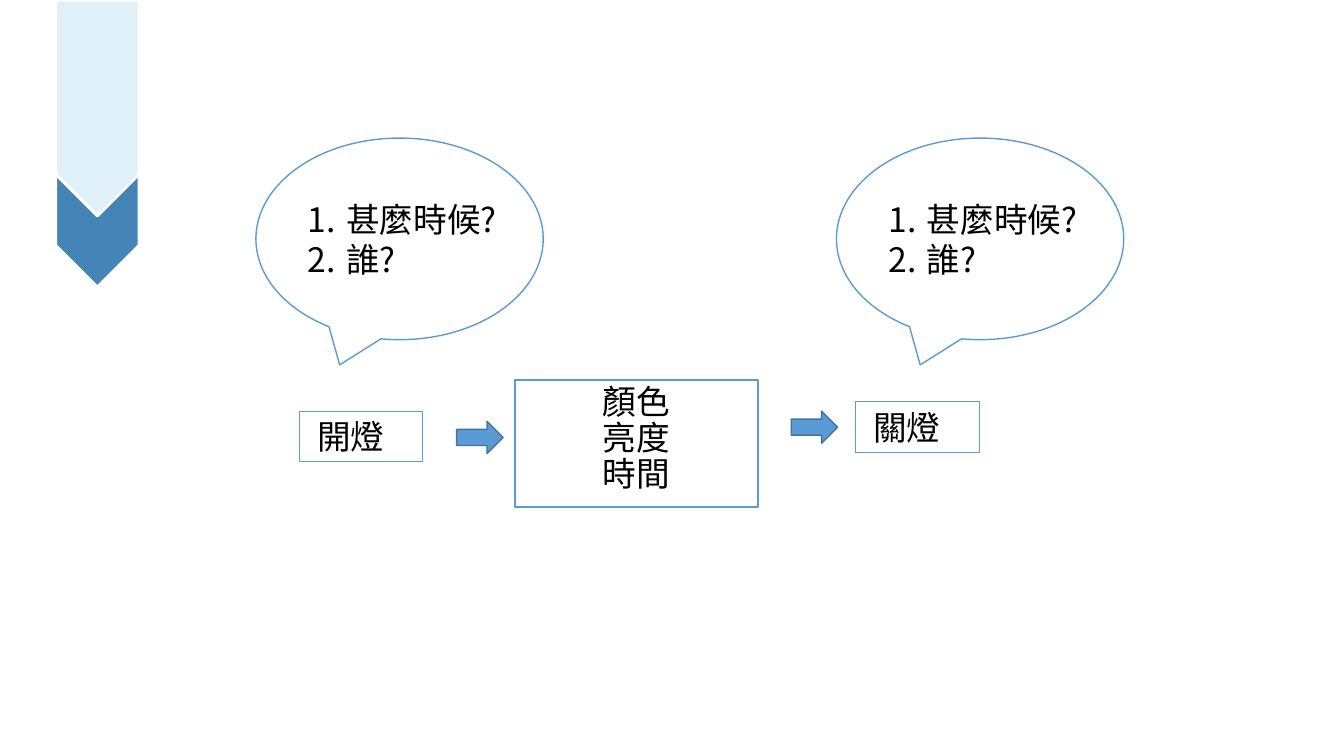
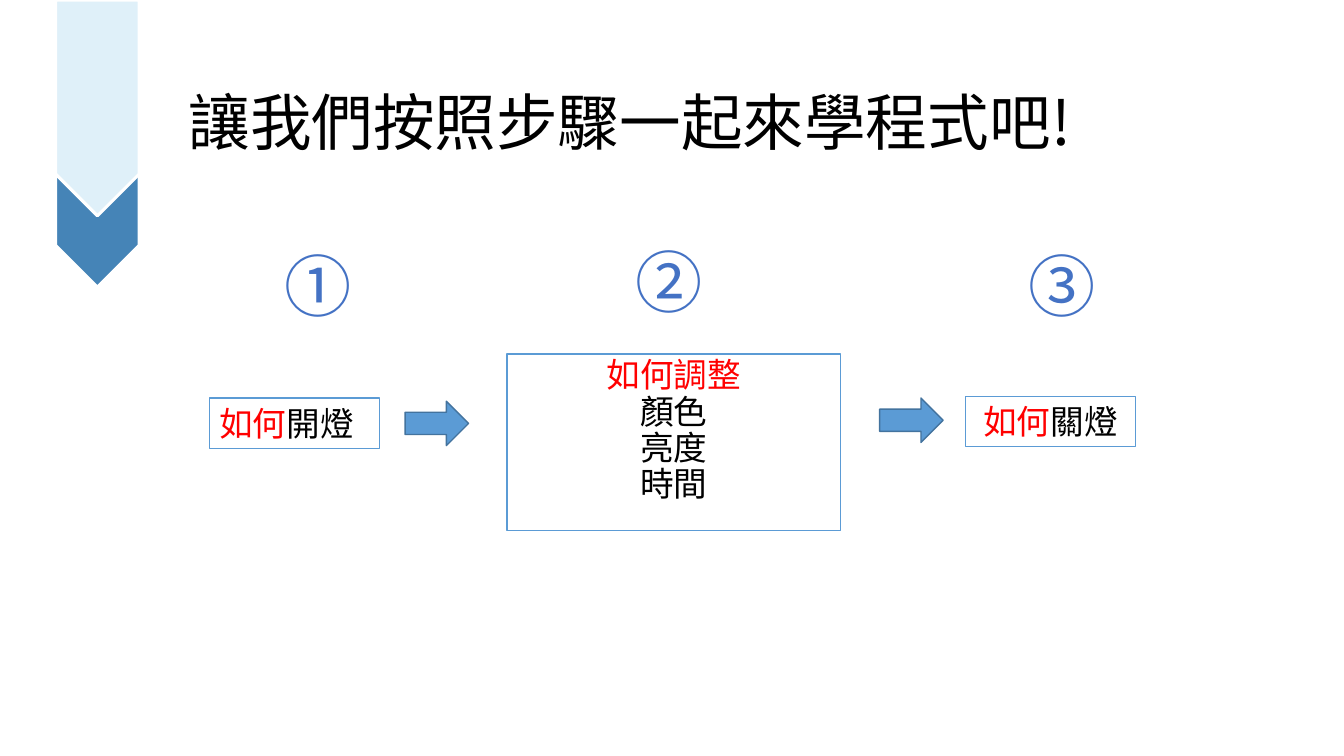
import collections

import lxml.etree
import pptx
import pptx.dml.color
import pptx.enum.shapes
import pptx.enum.text
import pptx.oxml.ns
import pptx.util

Cm = pptx.util.Cm
Pt = pptx.util.Pt
SHAPE = pptx.enum.shapes.MSO_SHAPE
ALIGN = pptx.enum.text.PP_ALIGN
ANCHOR = pptx.enum.text.MSO_ANCHOR
qn = pptx.oxml.ns.qn

FONT = "Noto Sans CJK JP"
BLACK, WHITE, RED = "000000", "FFFFFF", "FF0000"
BLUE, DARK_BLUE, NUMBER_BLUE = "5B9BD5", "43739E", "4472C4"
RIBBON_DARK, RIBBON_LIGHT = "4584B7", "DFF0F9"
STEP_HEIGHT = 1.27

# All boxes are in centimetres.
Box = collections.namedtuple("Box", "left top width height")


def within(box, left, top, width, height):
    """Turn an offset from a box's corner into a box on the slide."""
    return Box(box.left + left, box.top + top, width, height)


def rgb(value):
    return pptx.dml.color.RGBColor.from_string(value)


def lengths(box):
    return [Cm(value) for value in box]


def add_shape(slide, kind, box, fill, line, line_width):
    shape = slide.shapes.add_shape(kind, *lengths(box))
    shape.shadow.inherit = False
    if fill:
        shape.fill.solid()
        shape.fill.fore_color.rgb = rgb(fill)
    else:
        shape.fill.background()
    shape.line.color.rgb = rgb(line)
    shape.line.width = Pt(line_width)
    return shape


def write(shape, lines, size=24, color=BLACK, align=ALIGN.LEFT,
          anchor=ANCHOR.TOP, spacing=1.0, inset=0.25):
    """Fill a shape with lines, each a list of (text, colour or None) runs."""
    frame = shape.text_frame
    frame.word_wrap = True
    frame.vertical_anchor = anchor
    frame.margin_left = Cm(inset)
    for index, runs in enumerate(lines):
        paragraph = frame.paragraphs[0] if index == 0 else frame.add_paragraph()
        paragraph.alignment = align
        paragraph.line_spacing = spacing
        paragraph.font.size = Pt(size)
        paragraph.font.color.rgb = rgb(color)
        paragraph.font.name = FONT
        properties = paragraph._p.pPr.find(qn("a:defRPr"))
        lxml.etree.SubElement(properties, qn("a:ea"), typeface=FONT)
        for text, run_color in runs:
            run = paragraph.add_run()
            run.text = text
            if run_color:
                run.font.color.rgb = rgb(run_color)


def number_paragraphs(shape, indent):
    for paragraph in shape.text_frame.paragraphs:
        properties = paragraph._p.get_or_add_pPr()
        properties.set("marL", str(Cm(indent)))
        properties.set("indent", str(-Cm(indent)))
        bullet = lxml.etree.Element(qn("a:buAutoNum"), type="arabicPeriod")
        properties.find(qn("a:defRPr")).addprevious(bullet)


def add_ribbon(slide, box):
    """Stack two downward pennants, the light one overlapping the dark one."""
    pennants = [(2.49, 4.75, RIBBON_DARK), (0, 5.44, RIBBON_LIGHT)]
    for top, length, fill in pennants:
        turned = within(box, (box.width - length) / 2,
                        top + (length - box.width) / 2, length, box.width)
        pennant = add_shape(slide, SHAPE.PENTAGON, turned, fill, WHITE, 2.25)
        pennant.rotation = 90


def add_step(slide, box, runs, inset):
    step = add_shape(slide, SHAPE.RECTANGLE, box, None, BLUE, 0.75)
    write(step, [runs], anchor=ANCHOR.MIDDLE, inset=inset)


def add_settings(slide, box, lines):
    settings = add_shape(slide, SHAPE.RECTANGLE, box, WHITE, BLUE, 1)
    write(settings, lines, align=ALIGN.CENTER, spacing=0.9)


def add_arrow(slide, box):
    add_shape(slide, SHAPE.RIGHT_ARROW, box, BLUE, DARK_BLUE, 1)


def add_question_callout(slide, box):
    callout = add_shape(slide, SHAPE.OVAL_CALLOUT, box, WHITE, BLUE, 1)
    write(callout, [[("甚麼時候?", None)], [("誰?", None)]], anchor=ANCHOR.MIDDLE)
    number_paragraphs(callout, 0.97)


def add_label(slide, box, text, size, color, spacing=1.0):
    label = slide.shapes.add_textbox(*lengths(box))
    write(label, [[(text, None)]], size=size, color=color, spacing=spacing)


def build_question_slide(slide, box):
    for left in (0, 14.63):
        add_question_callout(slide, within(box, left, 0, 7.24, 5.08))
    for left, top in ((5.06, 7.14), (13.49, 6.88)):
        add_arrow(slide, within(box, left, top, 1.17, 0.81))
    add_settings(slide, within(box, 6.53, 6.1, 6.12, 3.2),
                 [[(text, None)] for text in ("顏色", "亮度", "時間")])
    for left, top, text in ((1.09, 6.88, "開燈"), (15.11, 6.65, "關燈")):
        add_step(slide, within(box, left, top, 3.12, STEP_HEIGHT),
                 [(text, None)], 0.45)


def build_steps_slide(slide, box):
    add_label(slide, within(box, -0.78, -3.83, 27.98, 3.68),
              "讓我們按照步驟一起來學程式吧!", 44, BLACK, 0.9)
    numbers = (("①", 1.63, 0), ("②", 10.49, -0.1), ("③", 20.4, 0))
    for number, left, top in numbers:
        add_label(slide, within(box, left, top, 2.44, 2.31), number, 48, NUMBER_BLUE)
    for left, top in ((4.93, 4.09), (16.89, 4.01)):
        add_arrow(slide, within(box, left, top, 1.6, 1.12))
    add_settings(slide, within(box, 7.5, 2.9, 8.41, 4.45),
                 [[("如何調整", RED)], [("顏色", None)], [("亮度", None)], [("時間", None)]])
    steps = ((0, 4.01, "開燈", 0.25), (19.05, 3.96, "關燈", 0.45))
    for left, top, text, inset in steps:
        add_step(slide, within(box, left, top, 4.29, STEP_HEIGHT),
                 [("如何", RED), (text, None)], inset)


def main():
    presentation = pptx.Presentation()
    presentation.slide_width = Cm(33.87)
    presentation.slide_height = Cm(19.05)
    pages = [
        (build_question_slide, Box(6.45, 3.48, 21.87, 9.3)),
        (build_steps_slide, Box(5.28, 6.02, 23.34, 7.35)),
    ]
    for build, box in pages:
        slide = presentation.slides.add_slide(presentation.slide_layouts[6])
        add_ribbon(slide, Box(1.4, 0, 2.11, 7.24))
        build(slide, box)
    presentation.save("out.pptx")


if __name__ == "__main__":
    main()
